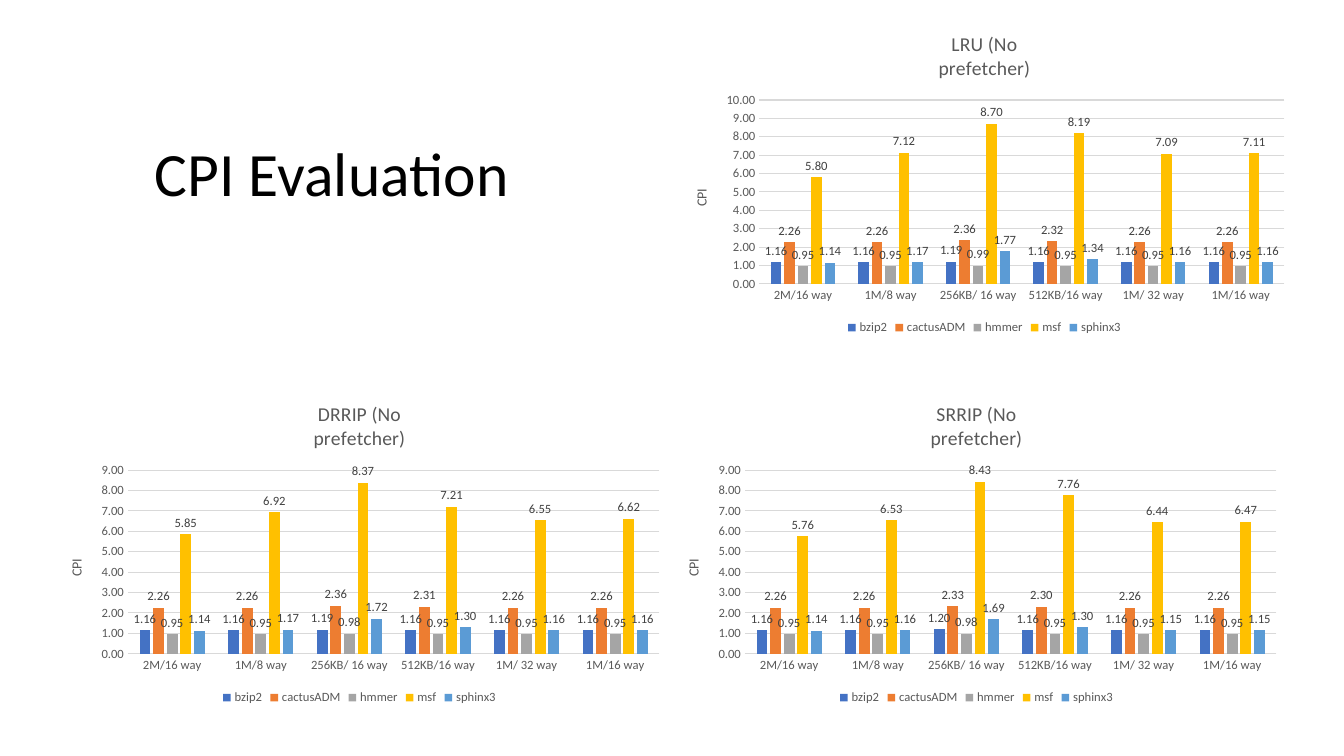
from pptx import Presentation, util as u
from pptx.chart.data import CategoryChartData
from pptx.dml.color import RGBColor
from pptx.enum import chart as ch, text as tx

FONT = "Calibri"
GREY, LABEL, RULE = "595959", "404040", "D9D9D9"

CACHES = ["2M/16 way", "1M/8 way", "256KB/ 16 way",
          "512KB/16 way", "1M/ 32 way", "1M/16 way"]
BENCHMARKS = {"bzip2": "4472C4", "cactusADM": "ED7D31", "hmmer": "A5A5A5",
              "msf": "FFC000", "sphinx3": "5B9BD5"}

# Policy: (left, top, one row of CPI values per benchmark)
POLICIES = {
    "DRRIP": (47, 386, [
        [1.16, 1.16, 1.19, 1.16, 1.16, 1.16],
        [2.26, 2.26, 2.36, 2.31, 2.26, 2.26],
        [0.95, 0.95, 0.98, 0.95, 0.95, 0.95],
        [5.85, 6.92, 8.37, 7.21, 6.55, 6.62],
        [1.14, 1.17, 1.72, 1.30, 1.16, 1.16]]),
    "LRU": (672, 16, [
        [1.16, 1.16, 1.19, 1.16, 1.16, 1.16],
        [2.26, 2.26, 2.36, 2.32, 2.26, 2.26],
        [0.95, 0.95, 0.99, 0.95, 0.95, 0.95],
        [5.80, 7.12, 8.70, 8.19, 7.09, 7.11],
        [1.14, 1.17, 1.77, 1.34, 1.16, 1.16]]),
    "SRRIP": (664, 386, [
        [1.16, 1.16, 1.20, 1.16, 1.16, 1.16],
        [2.26, 2.26, 2.33, 2.30, 2.26, 2.26],
        [0.95, 0.95, 0.98, 0.95, 0.95, 0.95],
        [5.76, 6.53, 8.43, 7.76, 6.44, 6.47],
        [1.14, 1.16, 1.69, 1.30, 1.15, 1.15]]),
}


def px(n):
    return u.Emu(round(n * 914400 / 100.8))


def rgb(value):
    return RGBColor.from_string(value)


def set_font(font, size, color):
    font.name, font.size, font.bold = FONT, u.Pt(size), False
    font.color.rgb = rgb(color)


def write(frame, words, size=10, color=GREY, spacing=None):
    """Fill a text frame, one paragraph for each line of words."""
    for i, line in enumerate(words.split("\n")):
        paragraph = frame.add_paragraph() if i else frame.paragraphs[0]
        paragraph.line_spacing = spacing
        run = paragraph.add_run()
        run.text = line
        set_font(run.font, size, color)


def add_heading(slide, words, left, top, width, height):
    frame = slide.shapes.add_textbox(px(left), px(top), px(width), px(height)).text_frame
    frame.word_wrap = True
    frame.vertical_anchor = tx.MSO_ANCHOR.MIDDLE
    write(frame, words, size=44, color="000000", spacing=0.9)


def style_axes(chart):
    caches, cpi = chart.category_axis, chart.value_axis
    for axis in (caches, cpi):
        axis.major_tick_mark = axis.minor_tick_mark = ch.XL_TICK_MARK.NONE
        set_font(axis.tick_labels.font, 9, GREY)
    cpi.has_major_gridlines = True
    for line in (caches.format.line, cpi.major_gridlines.format.line):
        line.color.rgb = rgb(RULE)
        line.width = u.Pt(0.75)
    cpi.format.line.fill.background()
    cpi.tick_labels.number_format = "0.00"
    cpi.tick_labels.number_format_is_linked = False
    write(cpi.axis_title.text_frame, "CPI")


def style_bars(plot):
    plot.gap_width, plot.overlap, plot.vary_by_categories = 219, -27, False
    for bars, color in zip(plot.series, BENCHMARKS.values()):
        bars.format.fill.solid()
        bars.format.fill.fore_color.rgb = rgb(color)
        labels = bars.data_labels
        labels.show_value = True
        labels.position = ch.XL_LABEL_POSITION.OUTSIDE_END
        labels.number_format = "0.00"
        labels.number_format_is_linked = False
        set_font(labels.font, 9, LABEL)


def add_cpi_chart(slide, policy, left, top, rows):
    data = CategoryChartData(number_format="0.00")
    data.categories = CACHES
    for benchmark, values in zip(BENCHMARKS, rows):
        data.add_series(benchmark, values)
    chart = slide.shapes.add_chart(ch.XL_CHART_TYPE.COLUMN_CLUSTERED, px(left), px(top),
                                   px(625), px(323), data).chart
    set_font(chart.font, 10, "000000")
    write(chart.chart_title.text_frame, f"{policy} (No\nprefetcher)", size=14)
    chart.chart_title.include_in_layout = False
    chart.has_legend = True
    chart.legend.position = ch.XL_LEGEND_POSITION.BOTTOM
    chart.legend.include_in_layout = False
    set_font(chart.legend.font, 9, GREY)
    style_axes(chart)
    style_bars(chart.plots[0])


def main():
    deck = Presentation()
    deck.slide_width, deck.slide_height = px(1344), px(756)
    slide = deck.slides.add_slide(deck.slide_layouts[6])

    # Heading
    add_heading(slide, "CPI Evaluation", 145, 104, 1159, 146)

    # One chart for each replacement policy
    for policy, (left, top, rows) in POLICIES.items():
        add_cpi_chart(slide, policy, left, top, rows)

    deck.save("out.pptx")


if __name__ == "__main__":
    main()
